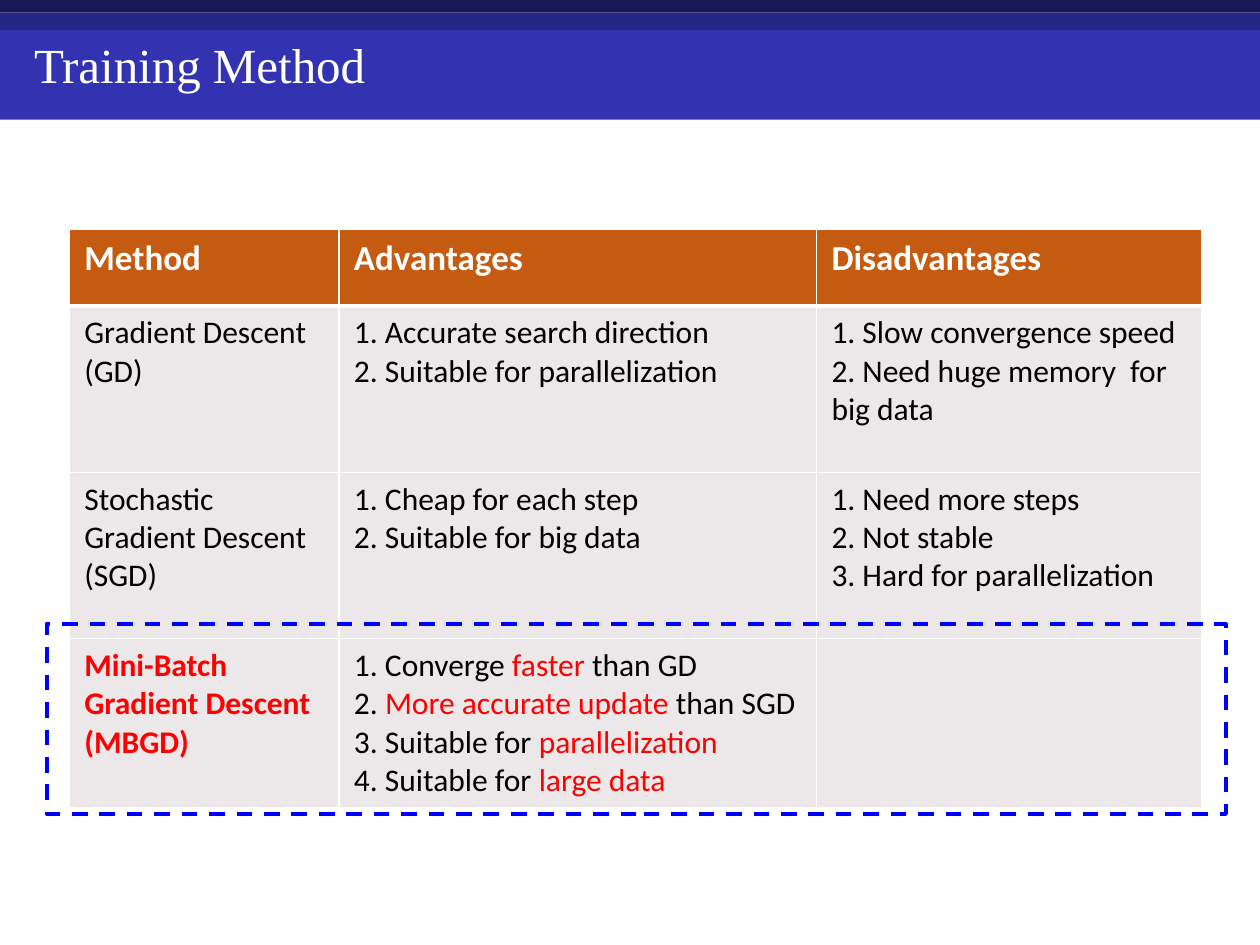
from lxml import etree
from pptx import Presentation
from pptx import util as u
from pptx.dml.color import RGBColor
from pptx.enum import dml, shapes, text
from pptx.oxml import ns

COLORS = {
    "title_band": "3333B2", "top_band": "191959", "middle_band": "262686",
    "header": "C55A11", "body": "ECE8EA", "white": "FFFFFF",
    "black": "000000", "red": "FF0000", "frame": "0000FF",
}
BANDS = [("title_band", 0.22, 0.73), ("top_band", 0, 0.1), ("middle_band", 0.1, 0.14)]
COLUMN_WIDTHS = [2.14, 3.79, 3.06]
ROW_HEIGHTS = [0.61, 1.32, 1.32, 1.32]
METHODS = [
    [["Method"], ["Advantages"], ["Disadvantages"]],
    [["Gradient Descent (GD)"],
     ["1. Accurate search direction", "2. Suitable for parallelization"],
     ["1. Slow convergence speed", "2. Need huge memory  for big data"]],
    [["Stochastic Gradient Descent (SGD)"],
     ["1. Cheap for each step", "2. Suitable for big data"],
     ["1. Need more steps", "2. Not stable", "3. Hard for parallelization"]],
    [["*Mini-Batch Gradient Descent (MBGD)*"],
     ["1. Converge *faster *than GD", "2. *More accurate update *than SGD",
      "3. Suitable for *parallelization*", "4. Suitable for *large data*"],
     []],
]


class SlideBuilder:
    """Draws styled elements on one slide; asterisks enclose red text."""

    def __init__(self, presentation):
        self.slide = presentation.slides.add_slide(presentation.slide_layouts[5])
        self.width = presentation.slide_width

    def color(self, name):
        return RGBColor.from_string(COLORS[name])

    def rectangle(self, left, top, width, height):
        shape = self.slide.shapes.add_shape(
            shapes.MSO_SHAPE.RECTANGLE, left, u.Inches(top), width, u.Inches(height))
        shape.shadow.inherit = False
        return shape

    def band(self, fill, top, height):
        shape = self.rectangle(0, top, self.width, height)
        shape.fill.solid()
        shape.fill.fore_color.rgb = self.color(fill)
        shape.line.fill.background()

    def dashed_frame(self, left, top, width, height):
        shape = self.rectangle(u.Inches(left), top, u.Inches(width), height)
        shape.fill.background()
        shape.line.color.rgb = self.color("frame")
        shape.line.width = u.Pt(2.25)
        shape.line.dash_style = dml.MSO_LINE.DASH

    def title(self, wording, left, top, width, height):
        title = self.slide.shapes.title
        title.left, title.top = u.Inches(left), u.Inches(top)
        title.width, title.height = u.Inches(width), u.Inches(height)
        frame = title.text_frame
        frame.text = wording
        frame.auto_size = text.MSO_AUTO_SIZE.NONE
        frame.vertical_anchor = text.MSO_ANCHOR.MIDDLE
        paragraph = frame.paragraphs[0]
        paragraph.alignment = text.PP_ALIGN.LEFT
        paragraph.line_spacing = 0.9
        self.style(paragraph.font, 28, "white", "Times New Roman")
        self.slide.shapes._spTree.append(title._element)

    def style(self, font, size, color, name="Calibri", bold=False):
        font.size, font.name, font.bold = u.Pt(size), name, bold
        font.color.rgb = self.color(color)

    def border(self, cell, side, points):
        properties = cell._tc.get_or_add_tcPr()
        line = etree.SubElement(properties, ns.qn(f"a:ln{side}"), w=str(u.Pt(points)))
        fill = etree.SubElement(line, ns.qn("a:solidFill"))
        etree.SubElement(fill, ns.qn("a:srgbClr"), val=COLORS["white"])

    def cell(self, cell, lines, row, column):
        cell.margin_left = cell.margin_right = u.Inches(0.12)
        cell.margin_top = cell.margin_bottom = u.Inches(0.06)
        for side in "LRTB":
            below_header = (row, side) in [(0, "B"), (1, "T")]
            self.border(cell, side, 3 if below_header else 1)
        cell.fill.solid()
        cell.fill.fore_color.rgb = self.color("body" if row else "header")
        frame = cell.text_frame
        for index, line in enumerate(lines):
            paragraph = frame.add_paragraph() if index else frame.paragraphs[0]
            for position, part in enumerate(line.split("*")):
                if not part:
                    continue
                run = paragraph.add_run()
                run.text = part
                if row == 0:
                    self.style(run.font, 20, "white", bold=True)
                else:
                    highlighted = position % 2 == 1
                    self.style(run.font, 18, "red" if highlighted else "black",
                               bold=highlighted and column == 0)

    def table(self, rows, left, top):
        table = self.slide.shapes.add_table(
            len(ROW_HEIGHTS), len(COLUMN_WIDTHS), u.Inches(left), u.Inches(top),
            u.Inches(sum(COLUMN_WIDTHS)), u.Inches(sum(ROW_HEIGHTS))).table
        for column, width in zip(table.columns, COLUMN_WIDTHS):
            column.width = u.Inches(width)
        for row, height in zip(table.rows, ROW_HEIGHTS):
            row.height = u.Inches(height)
        for row, entries in enumerate(rows):
            for column, lines in enumerate(entries):
                self.cell(table.cell(row, column), lines, row, column)


def main():
    presentation = Presentation()
    presentation.slide_width, presentation.slide_height = u.Inches(10), u.Inches(7.5)
    builder = SlideBuilder(presentation)
    for band in BANDS:
        builder.band(*band)
    builder.title("Training Method", 0.17, 0.24, 3.89, 0.6)
    builder.table(METHODS, 0.55, 1.82)
    builder.dashed_frame(0.37, 4.95, 9.36, 1.51)
    presentation.save("out.pptx")


if __name__ == "__main__":
    main()
